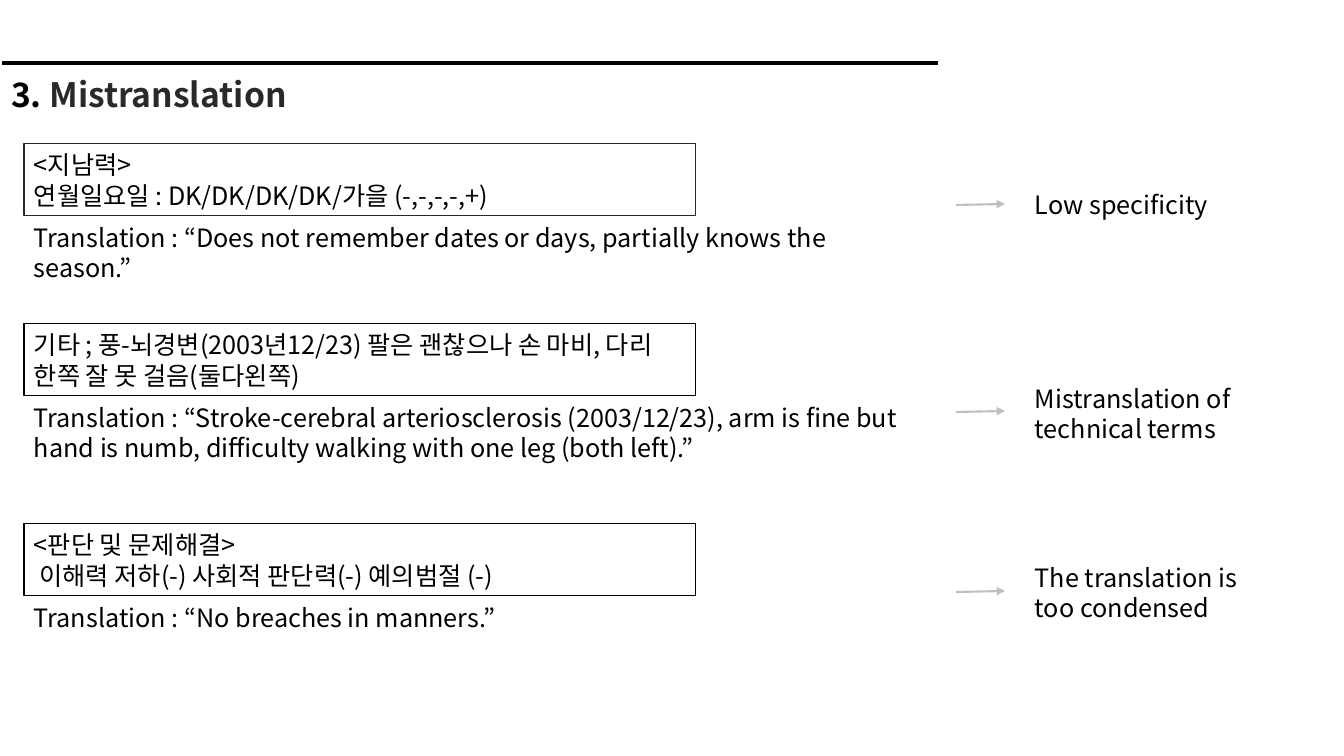
from lxml.etree import SubElement
from pptx import Presentation
from pptx.dml.color import RGBColor
from pptx.enum.shapes import MSO_CONNECTOR as Connector, MSO_SHAPE as Shape
from pptx.enum.text import MSO_ANCHOR as Anchor, PP_ALIGN as Align
from pptx.oxml import parse_xml
from pptx.oxml.ns import nsdecls, qn
from pptx.util import Emu, Pt

FONT = "Noto Sans CJK KR"
BLACK, DARK, GREY, WHITE = "000000", "292929", "BFBFBF", "FFFFFF"
PX_PER_INCH = 100.8

LEFT, BOX_WIDTH, BOX_HEIGHT = 24, 672, 72
TRANSLATION_OFFSET, TRANSLATION_WIDTH = 73, 907
ARROW_START, ARROW_END = 956, 1005
NOTE_LEFT, NOTE_WIDTH = 1025, 260

# box top, box line, source text, translation, arrow y, note top, note
EXAMPLES = [
    (144, DARK, "<지남력> \v연월일요일 : DK/DK/DK/DK/가을 (-,-,-,-,+)",
     "Translation : “Does not remember dates or days, partially knows the season.”",
     205, 184, "Low specificity"),
    (324, BLACK, "기타 ; 풍-뇌경변(2003년12/23) 팔은 괜찮으나 손 마비, 다리 한쪽 잘 못 걸음(둘다왼쪽)",
     "Translation : “Stroke-cerebral arteriosclerosis (2003/12/23), arm is fine but "
     "hand is numb, difficulty walking with one leg (both left).”",
     412, 378, "Mistranslation of technical terms"),
    (524, BLACK, "<판단 및 문제해결>\n 이해력 저하(-) 사회적 판단력(-) 예의범절 (-)",
     "Translation : “No breaches in manners.”",
     592, 557, "The translation is too condensed"),
]


def px(value):
    return Emu(round(value * 914400 / PX_PER_INCH))


def rgb(color):
    return RGBColor.from_string(color)


def format_run(run, size=18, color=BLACK, bold=False):
    run.font.size = Pt(size)
    run.font.bold = bold
    run.font.color.rgb = rgb(color)
    run.font.name = FONT
    SubElement(run.font._element, qn("a:ea")).set("typeface", FONT)


def write_text(frame, text, anchor=Anchor.TOP, **run_format):
    """Fill a frame; a newline starts a paragraph, a vertical tab breaks a line."""
    frame.word_wrap = True
    frame.vertical_anchor = anchor
    frame.text = text
    for paragraph in frame.paragraphs:
        paragraph.alignment = Align.LEFT
        for run in paragraph.runs:
            format_run(run, **run_format)


def add_text(slide, text, left, top, width, height):
    box = slide.shapes.add_textbox(px(left), px(top), px(width), px(height))
    write_text(box.text_frame, text)


def add_source_box(slide, text, top, line_color):
    box = slide.shapes.add_shape(
        Shape.RECTANGLE, px(LEFT), px(top), px(BOX_WIDTH), px(BOX_HEIGHT))
    box.shadow.inherit = False
    box.fill.background()
    box.line.color.rgb = rgb(line_color)
    box.line.width = Pt(0.75)
    write_text(box.text_frame, text, anchor=Anchor.MIDDLE)


def add_arrow(slide, y):
    arrow = slide.shapes.add_connector(
        Connector.STRAIGHT, px(ARROW_START), px(y), px(ARROW_END), px(y - 1))
    arrow.line.color.rgb = rgb(GREY)
    arrow.line.width = Pt(1.5)
    SubElement(arrow.line._get_or_add_ln(), qn("a:tailEnd")).set("type", "triangle")
    SubElement(arrow._element.spPr, qn("a:effectLst"))


def set_borders(cell, borders):
    properties = cell._tc.get_or_add_tcPr()
    for index, (side, color, width) in enumerate(borders):
        properties.insert(index, parse_xml(
            f'<a:ln{side} {nsdecls("a")} w="{Pt(width)}"><a:solidFill>'
            f'<a:srgbClr val="{color}"/></a:solidFill></a:ln{side}>'))


def add_heading_table(slide):
    frame = slide.shapes.add_table(1, 1, px(1), px(63), px(938), px(50))
    cell = frame.table.cell(0, 0)
    cell.fill.solid()
    cell.fill.fore_color.rgb = rgb(WHITE)
    set_borders(cell, [("L", WHITE, 1), ("R", WHITE, 1),
                       ("T", BLACK, 3), ("B", WHITE, 3)])
    paragraph = cell.text_frame.paragraphs[0]
    for text, color in (("3. ", BLACK), ("Mistranslation", DARK)):
        run = paragraph.add_run()
        run.text = text
        format_run(run, size=24, color=color, bold=True)


def main():
    presentation = Presentation()
    presentation.slide_width = px(1344)
    presentation.slide_height = px(756)
    slide = presentation.slides.add_slide(presentation.slide_layouts[6])

    add_heading_table(slide)
    for top, line_color, source, translation, arrow_y, note_top, note in EXAMPLES:
        add_source_box(slide, source, top, line_color)
        add_text(slide, translation, LEFT, top + TRANSLATION_OFFSET,
                 TRANSLATION_WIDTH, BOX_HEIGHT)
        add_arrow(slide, arrow_y)
        add_text(slide, note, NOTE_LEFT, note_top, NOTE_WIDTH, BOX_HEIGHT)

    presentation.save("out.pptx")


if __name__ == "__main__":
    main()
